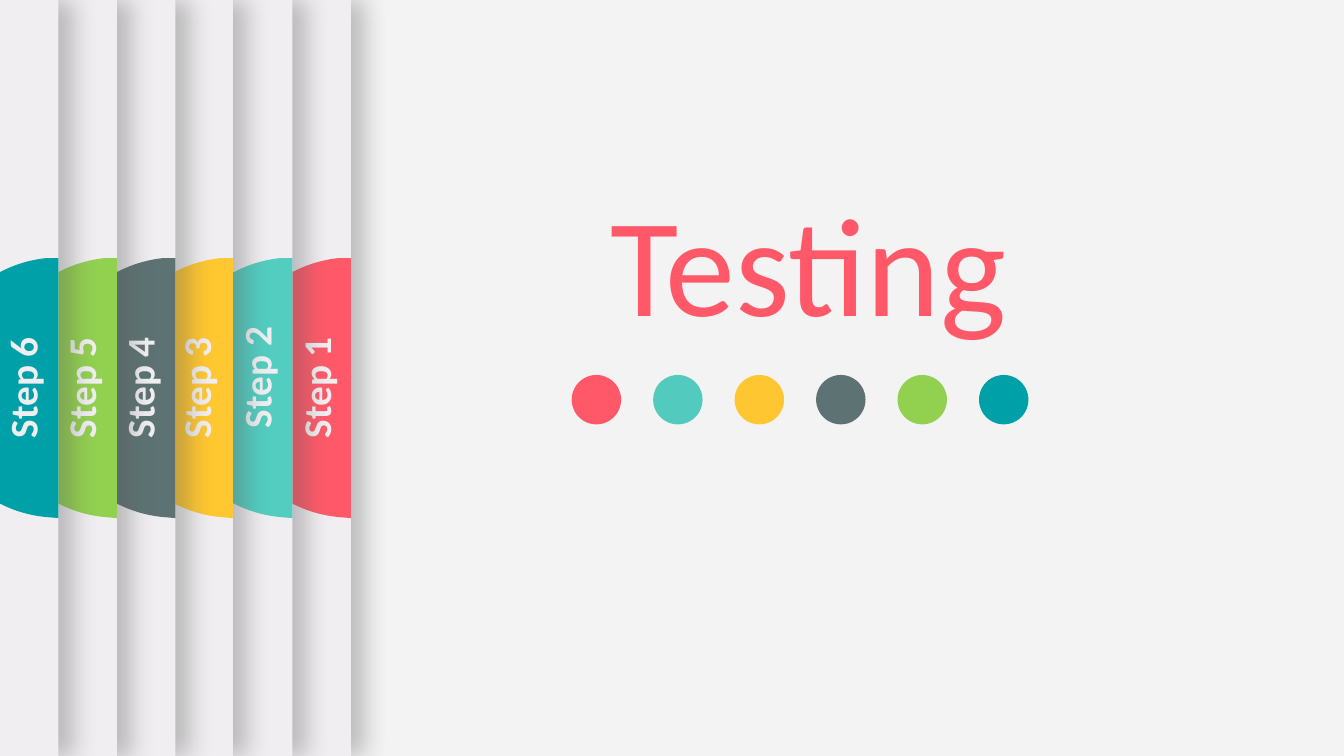
from lxml import etree
from pptx import Presentation
from pptx.dml.color import RGBColor
from pptx.enum.shapes import MSO_SHAPE as Shape
from pptx.enum.text import MSO_AUTO_SIZE as AutoSize, PP_ALIGN as Align
from pptx.oxml import parse_xml
from pptx.oxml.ns import nsdecls, qn
from pptx.util import Inches, Pt

TITLE = "Testing"
COLOURS = {
    "background": "F3F3F3", "panel": "F0EEF0", "shadow": "595959",
    "coral": "FF5969", "teal": "52CBBE", "aqua": "52CDC0", "amber": "FEC630",
    "gold": "FFC730", "slate": "5D7373", "green": "92D050", "petrol": "00A0A8",
}
DOTS = ["coral", "teal", "amber", "slate", "green", "petrol"]
# label, tab colour, panel left, panel width, label left, label top
STEPS = [
    ("Step 1", "coral", -10.17, 13.65, 2.04, 3.56),
    ("Step 2", "aqua", -9.62, 12.52, 1.45, 3.46),
    ("Step 3", "gold", -8.58, 10.89, 0.85, 3.56),
    ("Step 4", "slate", -8.73, 10.47, 0.29, 3.56),
    ("Step 5", "green", -8.35, 9.51, -0.29, 3.56),
    ("Step 6", "petrol", -10.27, 10.85, -0.87, 3.56),
]
# Tab outline, measured from its top right corner: straight edge, then two curves
TAB_TOP = 2.56
TAB_EDGE = [(0, 0), (0, 2.58), (-0.12, 2.57)]
TAB_CURVES = [
    [(-0.77, 2.51), (-1.28, 1.96), (-1.28, 1.29)],
    [(-1.28, 0.62), (-0.77, 0.07), (-0.12, 0)],
]
FONT = "Calibri"
SLIDE_WIDTH, SLIDE_HEIGHT = 13.33, 7.5
DOT_SIZE, DOT_TOP, FIRST_DOT, LAST_DOT = 0.49, 3.72, 5.67, 9.71


def colour(name):
    return RGBColor.from_string(COLOURS[name])


def paint(shape, name):
    shape.fill.solid()
    shape.fill.fore_color.rgb = colour(name)
    shape.line.fill.background()
    shape.shadow.inherit = False


def add_shape(shapes, kind, left, top, width, height, name):
    shape = shapes.add_shape(kind, Inches(left), Inches(top), Inches(width), Inches(height))
    paint(shape, name)
    return shape


def add_text(shapes, text, left, top, width, height, size, name, bold=False):
    box = shapes.add_textbox(Inches(left), Inches(top), Inches(width), Inches(height))
    frame = box.text_frame
    frame.word_wrap = True
    frame.auto_size = AutoSize.SHAPE_TO_FIT_TEXT
    frame.text = text
    para = frame.paragraphs[0]
    para.alignment = Align.CENTER
    font = para.runs[0].font
    font.name, font.size, font.bold = FONT, Pt(size), bold
    font.color.rgb = colour(name)
    return box


def cast_shadow(shape):
    """Give the shape a soft shadow to its right."""
    effects = shape._element.spPr.find(qn("a:effectLst"))
    effects.append(parse_xml(
        f'<a:outerShdw {nsdecls("a")} blurRad="{Pt(17)}" dist="{Pt(10)}" dir="0" '
        f'algn="l" rotWithShape="0"><a:srgbClr val="{COLOURS["shadow"]}">'
        '<a:alpha val="35000"/></a:srgbClr></a:outerShdw>'))


def add_tab(shapes, right, name):
    """Draw a rounded tab whose flat side is at right."""
    outline = TAB_EDGE + [point for curve in TAB_CURVES for point in curve]
    points = [(Inches(right + x), Inches(TAB_TOP + y)) for x, y in outline]
    builder = shapes.build_freeform(*points[0])
    builder.add_line_segments(points[1:], close=True)
    tab = builder.convert_to_shape()
    lines = list(tab._element.iter(qn("a:lnTo")))[len(TAB_EDGE) - 1:]
    for start in range(0, 3 * len(TAB_CURVES), 3):
        curve = etree.Element(qn("a:cubicBezTo"))
        lines[start].addprevious(curve)
        for line in lines[start:start + 3]:
            curve.append(line[0])
            line.getparent().remove(line)
    paint(tab, name)


deck = Presentation()
deck.slide_width, deck.slide_height = Inches(SLIDE_WIDTH), Inches(SLIDE_HEIGHT)
page = deck.slides.add_slide(deck.slide_layouts[6])
page.background.fill.solid()
page.background.fill.fore_color.rgb = colour("background")

add_text(page.shapes, TITLE, 4.74, 1.7, 6.55, 1.78, 100, "coral")

dot_row = page.shapes.add_group_shape().shapes
dot_pitch = (LAST_DOT - FIRST_DOT) / (len(DOTS) - 1)
for index, name in enumerate(DOTS):
    add_shape(dot_row, Shape.OVAL, FIRST_DOT + index * dot_pitch, DOT_TOP,
              DOT_SIZE, DOT_SIZE, name)

for label, name, panel_left, panel_width, label_left, label_top in STEPS:
    parts = page.shapes.add_group_shape().shapes
    panel = add_shape(parts, Shape.RECTANGLE, panel_left, 0, panel_width,
                      SLIDE_HEIGHT, "panel")
    cast_shadow(panel)
    add_tab(parts, panel_left + panel_width, name)
    box = add_text(parts, label, label_left, label_top, 2.18, 0.57, 28, "panel", True)
    box.rotation = 270

deck.save("out.pptx")
